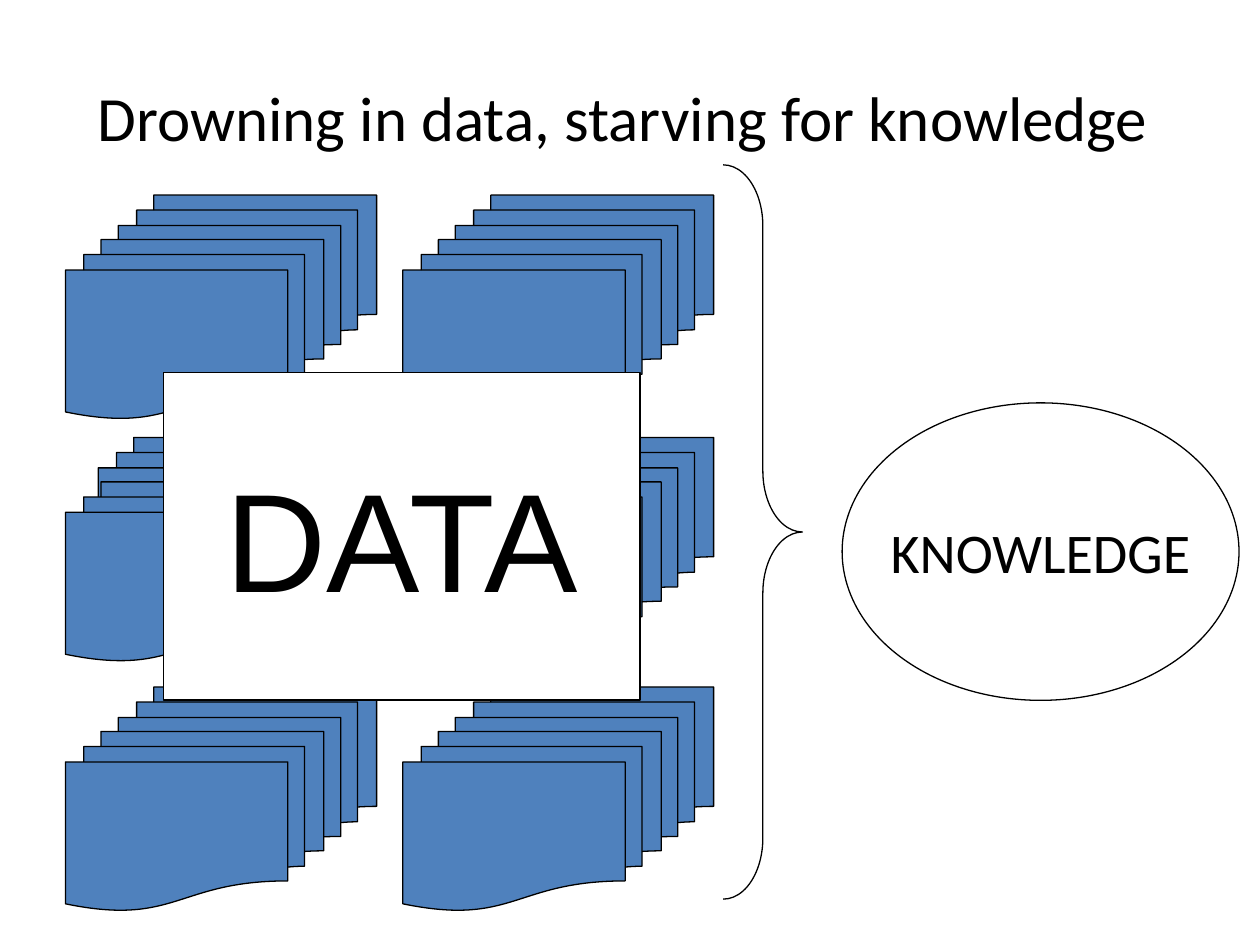
import pptx
import pptx.dml.color
import pptx.enum.shapes
import pptx.enum.text
import pptx.util

Pt = pptx.util.Pt
SHAPE = pptx.enum.shapes.MSO_SHAPE
MIDDLE = pptx.enum.text.MSO_ANCHOR.MIDDLE
CENTER = pptx.enum.text.PP_ALIGN.CENTER


def color(hex_value):
    return pptx.dml.color.RGBColor.from_string(hex_value)


class SlideBuilder:
    ink = "000000"
    paper = "FFFFFF"
    stack_blue = "4F81BD"
    line_width = 0.75

    def __init__(self, slide):
        self.slide = slide

    def shape(self, kind, box, fill=None):
        item = self.slide.shapes.add_shape(kind, *map(Pt, box))
        item.shadow.inherit = False
        if fill:
            item.fill.solid()
            item.fill.fore_color.rgb = color(fill)
        else:
            item.fill.background()
        item.line.color.rgb = color(self.ink)
        item.line.width = Pt(self.line_width)
        return item

    def label(self, item, text, size, font="Calibri", wrap=True, **spacing):
        frame = item.text_frame
        frame.word_wrap = wrap
        frame.vertical_anchor = MIDDLE
        paragraph = frame.paragraphs[0]
        for name, value in {"alignment": CENTER, **spacing}.items():
            setattr(paragraph, name, value)
        run = paragraph.add_run()
        run.text = text
        for name, value in {"size": Pt(size), "name": font}.items():
            setattr(run.font, name, value)
        run.font.color.rgb = color(self.ink)

    def title(self, text, box):
        self.label(self.slide.shapes.add_textbox(*map(Pt, box)), text, 36)

    def documents(self, left, top):
        box = (left, top, 147.6, 102.4)
        self.shape(SHAPE.FLOWCHART_MULTIDOCUMENT, box, self.stack_blue)

    def brace(self, box, curl):
        self.shape(SHAPE.RIGHT_BRACE, box).adjustments[0] = curl


def main():
    deck = pptx.Presentation()
    deck.slide_width, deck.slide_height = Pt(720), Pt(540)
    builder = SlideBuilder(deck.slides.add_slide(deck.slide_layouts[6]))

    builder.title("Drowning in data, starving for knowledge ", (36, 21.6, 648, 90))

    column_lefts = (37.4, 230.2)
    row_tops = (111.5, 250, 392.6)
    back_shifts = ((30.2, 30), (18.7, 30), (30.2, 30))
    for top, shifts in zip(row_tops, back_shifts):
        for left, shift in zip(column_lefts, shifts):
            builder.documents(left + shift, top)
            builder.documents(left, top + 25.4)

    data = builder.shape(SHAPE.RECTANGLE, (93.6, 213, 272.2, 187), builder.paper)
    builder.label(data, "DATA", 80, "Arial", space_before=Pt(14))

    knowledge = builder.shape(SHAPE.OVAL, (481.2, 230.2, 226.8, 170), builder.paper)
    builder.label(knowledge, "KNOWLEDGE", 32, wrap=False)

    builder.brace((413.3, 94.2, 45.3, 419.6), 0.77)

    deck.save("out.pptx")


if __name__ == "__main__":
    main()
